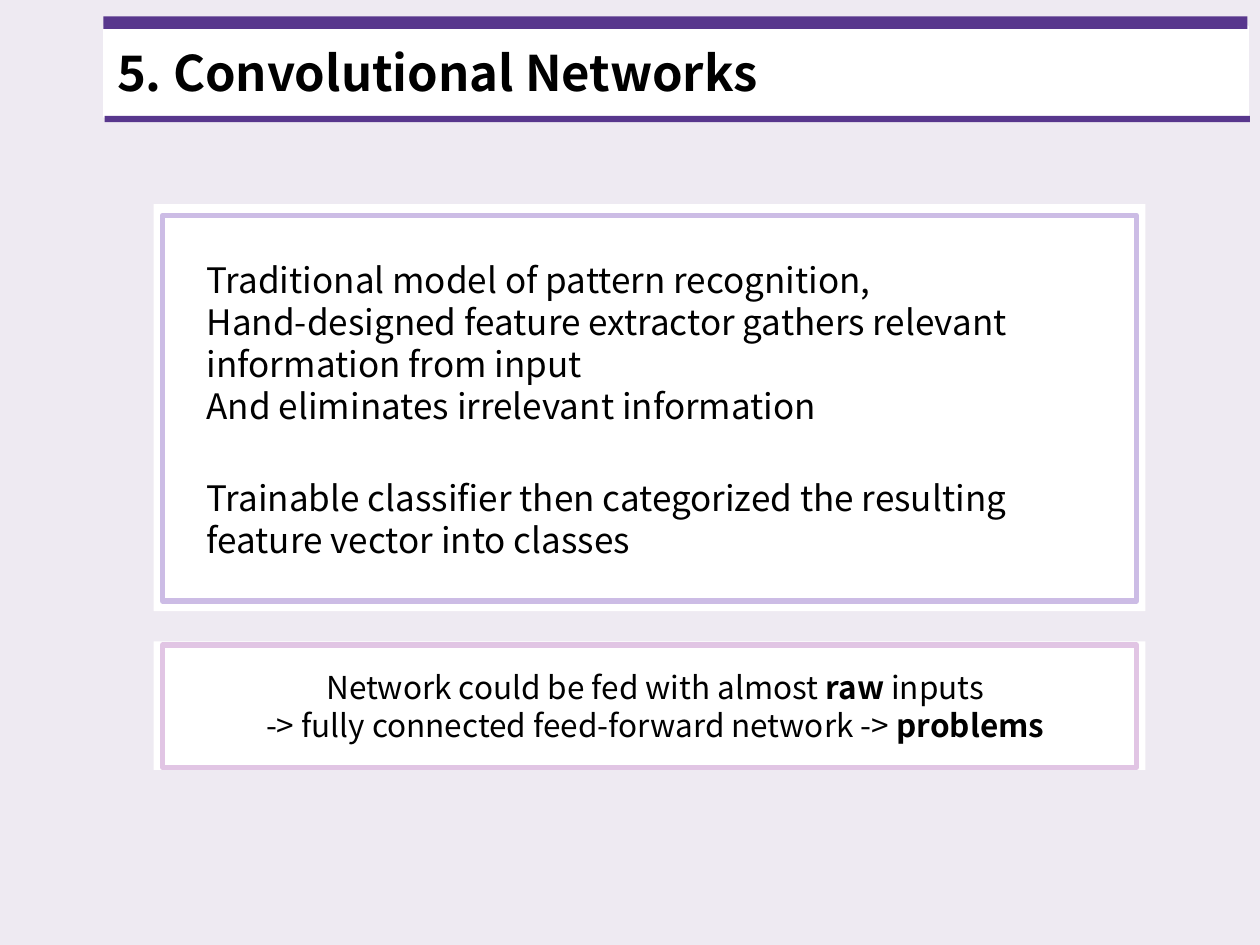
from pptx import Presentation
from pptx.dml.color import RGBColor as Rgb
from pptx.enum.shapes import MSO_SHAPE as Shape
from pptx.enum.text import MSO_ANCHOR as Anchor, MSO_AUTO_SIZE as Fit, PP_ALIGN as Align
from pptx.oxml.ns import qn
from pptx.util import Inches, Pt
from lxml.etree import SubElement

FONT = "Noto Sans CJK KR"
BACK = Rgb(0xEE, 0xEA, 0xF2)
WHITE = Rgb(0xFF, 0xFF, 0xFF)
BLACK = Rgb(0, 0, 0)
PURPLE = Rgb(0x58, 0x37, 0x8D)
LILAC = Rgb(0xCC, 0xBC, 0xE5)
PINK = Rgb(0xE1, 0xC5, 0xE4)

# Each paragraph is a list of (text, bold) runs.
TITLE = [[("5. Convolutional Networks", True)]]
MODEL = [
    [("Traditional model of pattern recognition,", False)],
    [("Hand-designed feature extractor gathers relevant information from input", False)],
    [("And eliminates irrelevant information", False)],
    [("Trainable classifier then categorized the resulting feature vector into classes", False)],
]
RESULT = [
    [("Network could be fed with almost ", False), ("raw", True), (" inputs", False)],
    [("-> fully connected feed-forward network -> ", False), ("problems", True)],
]

# Each group lists its boxes as (left, top, width, height), fill, line, line width.
GROUPS = [
    [((0.83, 0.21, 9.07, 0.71), WHITE, WHITE, 2)],
    [((0.82, 0.13, 9.08, 0.1), PURPLE, None, 0),
     ((0.83, 0.92, 9.09, 0.05), PURPLE, None, 0)],
    [((1.22, 1.62, 7.87, 3.23), WHITE, None, 0),
     ((1.29, 1.71, 7.73, 3.06), WHITE, LILAC, 3)],
    [((1.22, 5.09, 7.87, 1.02), WHITE, None, 0),
     ((1.29, 5.12, 7.73, 0.97), WHITE, PINK, 3)],
]


def add_box(group, place, fill, line, width):
    """Add one flat rectangle to a group."""
    box = group.shapes.add_shape(Shape.RECTANGLE, *map(Inches, place))
    box.shadow.inherit = False
    box.fill.solid()
    box.fill.fore_color.rgb = fill
    if line is None:
        box.line.fill.background()
    else:
        box.line.color.rgb = line
        box.line.width = Pt(width)


def set_text(shape, place, paras, size, align=Align.LEFT):
    """Place a text shape and fill it with formatted runs."""
    for name, value in zip(("left", "top", "width", "height"), place):
        setattr(shape, name, Inches(value))
    frame = shape.text_frame
    look = {"word_wrap": True, "auto_size": Fit.NONE, "vertical_anchor": Anchor.TOP,
            "margin_left": Inches(0.1), "margin_right": Inches(0.1),
            "margin_top": Inches(0.05), "margin_bottom": Inches(0.05)}
    for name, value in look.items():
        setattr(frame, name, value)
    for i, runs in enumerate(paras):
        para = frame.add_paragraph() if i else frame.paragraphs[0]
        para.alignment = align
        para.space_before = Pt(0)
        for text, bold in runs:
            run = para.add_run()
            run.text = text
            for name, value in {"name": FONT, "size": Pt(size), "bold": bold}.items():
                setattr(run.font, name, value)
            run.font.color.rgb = BLACK


def drop_bullet(para):
    """Remove the bullet and its indent from a paragraph."""
    props = para._p.get_or_add_pPr()
    props.set("marL", "0")
    props.set("indent", "0")
    SubElement(props, qn("a:buNone"))


deck = Presentation()
deck.slide_width, deck.slide_height = Inches(10), Inches(7.5)
slide = deck.slides.add_slide(deck.slide_layouts[1])
slide.background.fill.solid()
slide.background.fill.fore_color.rgb = BACK
title, body = slide.placeholders

for boxes in GROUPS:
    group = slide.shapes.add_group_shape()
    for box in boxes:
        add_box(group, *box)

# Bring the placeholders in front of the panels.
for holder in (title, body):
    holder.element.getparent().append(holder.element)

set_text(title, (0.83, 0.29, 7.72, 1.04), TITLE, 28)
set_text(body, (1.54, 2, 7.24, 2.53), MODEL, 20)
for para in body.text_frame.paragraphs:
    drop_bullet(para)
body.text_frame.paragraphs[-1].space_before = Pt(28.8)

note = slide.shapes.add_textbox(0, 0, 0, 0)
set_text(note, (1.46, 5.25, 7.48, 0.71), RESULT, 18, Align.CENTER)

deck.save("out.pptx")
